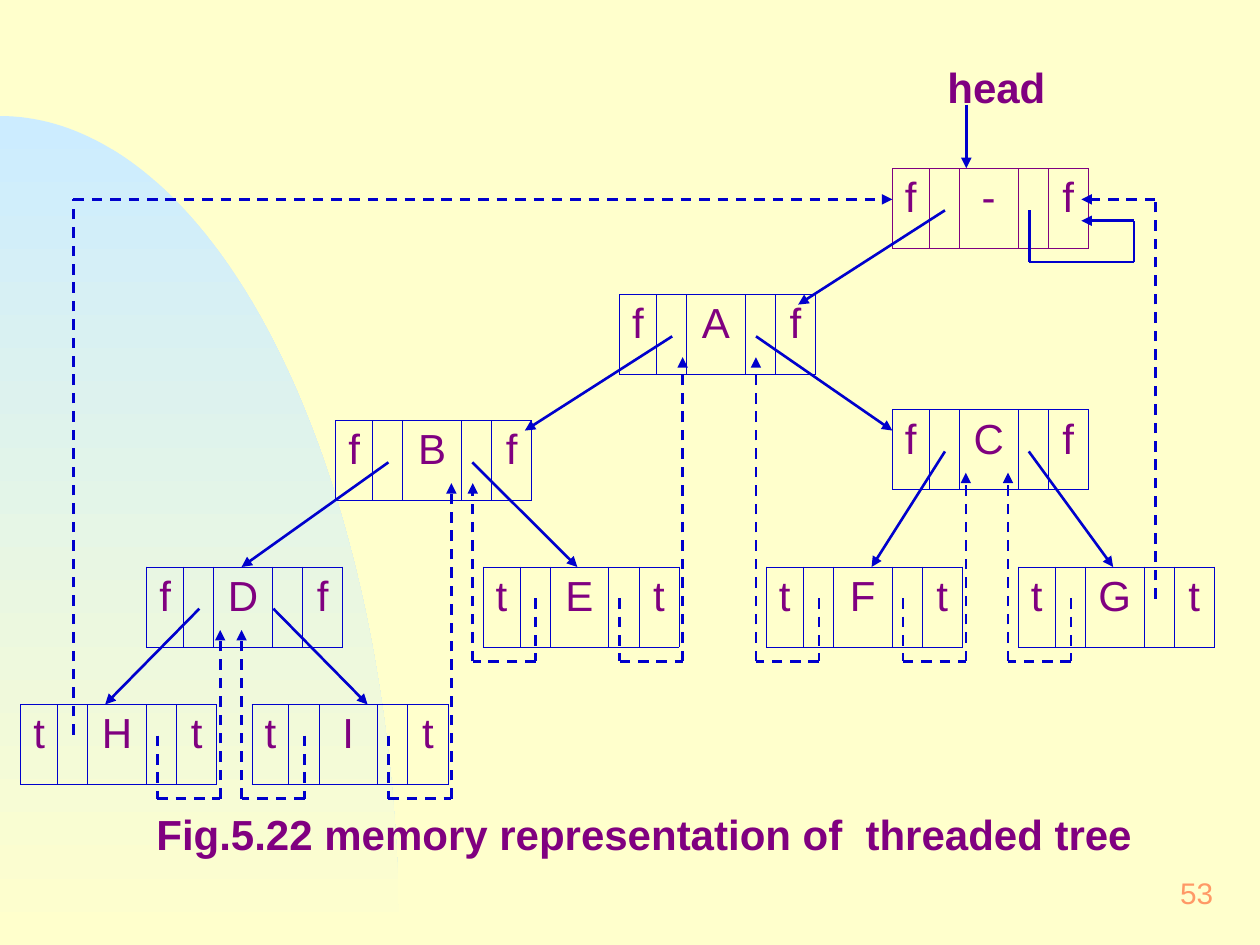
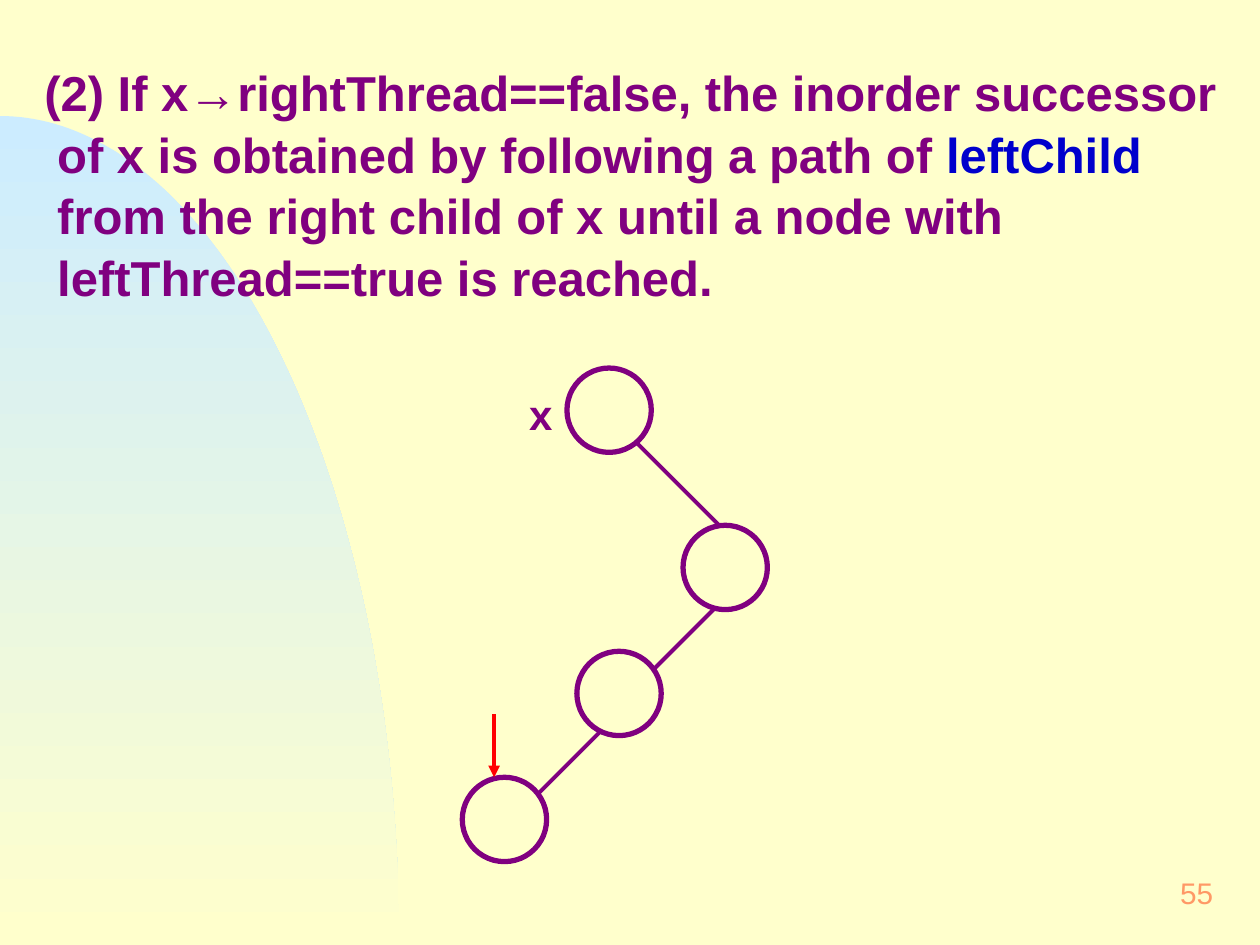
from dataclasses import dataclass
from itertools import pairwise
from math import cos, pi, sin

from lxml import etree
from pptx import Presentation
from pptx import util as u
from pptx.dml.color import RGBColor
from pptx.enum import dml, shapes, text
from pptx.oxml import ns

Point = tuple[float, float]


@dataclass(frozen=True)
class Theme:
    font: str = "Arial"
    paper: RGBColor = RGBColor(0xFF, 0xFF, 0xCC)
    sky: RGBColor = RGBColor(0xCC, 0xEC, 0xFF)
    purple: RGBColor = RGBColor(0x80, 0x00, 0x80)
    blue: RGBColor = RGBColor(0x00, 0x00, 0xCC)
    red: RGBColor = RGBColor(0xFF, 0x00, 0x00)
    orange: RGBColor = RGBColor(0xFF, 0x99, 0x66)
    statement_size: float = 28
    label_size: float = 24
    number_size: float = 17
    border: float = 0.45
    link: float = 1.5
    edge: float = 2.25
    circle: float = 3
    leading: float = 1.05


THEME = Theme()
WIDTH, HEIGHT = 25.4, 19.05


@dataclass(frozen=True)
class Node:
    label: str
    x: float
    y: float
    flag: str
    border: RGBColor = THEME.blue


@dataclass(frozen=True)
class Link:
    parent: str
    side: str
    end: Point
    shift: float = 0


@dataclass(frozen=True)
class Thread:
    node: str
    side: str
    end_y: float


@dataclass(frozen=True)
class Route:
    points: list[Point]
    color: RGBColor = THEME.blue
    width: float = THEME.link
    dashed: bool = False
    arrow: bool = True


FIELD_WIDTHS = [0.74, 0.61, 1.18, 0.61, 0.81]
NODE_HEIGHT = 1.61
PORTS = {"left": 1.06, "right": 2.75}
LINK_DROP, THREAD_DROP, THREAD_STEP = 0.84, 0.63, 1.27
LEVEL_D, LEVEL_H = 11.43, 14.2

NODES = [
    Node("-", 17.99, 3.4, "f", THEME.purple),
    Node("A", 12.49, 5.94, "f"),
    Node("B", 6.77, 8.48, "f"),
    Node("C", 17.99, 8.26, "f"),
    Node("D", 2.96, LEVEL_D, "f"),
    Node("E", 9.74, LEVEL_D, "t"),
    Node("F", 15.45, LEVEL_D, "t"),
    Node("G", 20.53, LEVEL_D, "t"),
    Node("H", 0.42, LEVEL_H, "t"),
    Node("I", 5.08, LEVEL_H, "t"),
]
LINKS = [
    Link("-", "left", (16.09, 6.14)),
    Link("A", "left", (10.58, 8.68)),
    Link("A", "right", (17.99, 8.68)),
    Link("B", "left", (4.87, LEVEL_D)),
    Link("B", "right", (11.64, LEVEL_D)),
    Link("C", "left", (17.57, LEVEL_D)),
    Link("C", "right", (22.44, LEVEL_D)),
    Link("D", "left", (2.12, LEVEL_H)),
    Link("D", "right", (7.41, LEVEL_H), -0.2),
]
THREADS = [
    Thread("H", "right", 12.7),
    Thread("I", "left", 12.7),
    Thread("I", "right", 9.74),
    Thread("E", "left", 9.74),
    Thread("E", "right", 7.2),
    Thread("F", "left", 7.2),
    Thread("F", "right", 9.53),
    Thread("G", "left", 9.53),
]
HEAD_ROUTES = [
    Route([(19.48, 2.11), (19.48, 3.39)]),
    Route([(20.75, 4.24), (20.75, 5.28), (22.86, 5.28), (22.86, 4.45), (21.8, 4.45)]),
    Route([(1.48, 14.81), (1.48, 4.02), (17.99, 4.02)], dashed=True),
    Route([(23.29, 12.07), (23.29, 4.02), (21.8, 4.02)], dashed=True),
]

CIRCLE_SIZE = 1.7
CIRCLES = [(11.43, 7.42), (13.77, 10.59), (11.63, 13.13), (9.32, 15.67)]
EDGES = [
    [(12.8, 8.89), (14.5, 10.59)],
    [(14.43, 12.24), (13.16, 13.51)],
    [(12.09, 14.76), (10.82, 16.03)],
]


def write(paragraph, parts: list[tuple[str, RGBColor]], size: float, bold: bool = False) -> None:
    for words, color in parts:
        run = paragraph.add_run()
        run.text = words
        run.font.name = THEME.font
        run.font.size = u.Pt(size)
        run.font.bold = bold
        run.font.color.rgb = color


def fill_frame(frame, parts: list[tuple[str, RGBColor]], size: float, bold: bool = True) -> None:
    frame.word_wrap = True
    frame.auto_size = text.MSO_AUTO_SIZE.NONE
    frame.vertical_anchor = text.MSO_ANCHOR.TOP
    paragraph = frame.paragraphs[0]
    paragraph.alignment = text.PP_ALIGN.LEFT
    paragraph.line_spacing = THEME.leading
    write(paragraph, parts, size, bold)


def place(shape, left: float, top: float, width: float, height: float) -> None:
    shape.left, shape.top = u.Cm(left), u.Cm(top)
    shape.width, shape.height = u.Cm(width), u.Cm(height)


def add_label(slide, words: str, left: float, top: float, width: float):
    label = slide.shapes.add_textbox(u.Cm(left), u.Cm(top), u.Cm(width), u.Cm(1.27))
    fill_frame(label.text_frame, [(words, THEME.purple)], THEME.label_size)


def add_page_number(slide, number: int) -> None:
    box = slide.shapes.add_textbox(u.Cm(19.48), u.Cm(17.35), u.Cm(5.28), u.Cm(1.27))
    frame = box.text_frame
    fill_frame(frame, [(str(number), THEME.orange)], THEME.number_size, bold=False)
    frame.margin_right = u.Cm(0.3)
    frame.vertical_anchor = text.MSO_ANCHOR.MIDDLE
    frame.paragraphs[0].alignment = text.PP_ALIGN.RIGHT
    frame.paragraphs[0].line_spacing = 1.0


def draw_route(slide, route: Route) -> None:
    segments = list(pairwise(route.points))
    for index, (start, end) in enumerate(segments):
        segment = slide.shapes.add_connector(
            shapes.MSO_CONNECTOR.STRAIGHT, *(u.Cm(value) for value in start + end)
        )
        segment.line.color.rgb = route.color
        segment.line.width = u.Pt(route.width)
        if route.dashed:
            segment.line.dash_style = dml.MSO_LINE.DASH
        properties = segment._element.spPr
        if route.arrow and index == len(segments) - 1:
            outline = properties.find(ns.qn("a:ln"))
            etree.SubElement(outline, ns.qn("a:tailEnd"), type="triangle")
        etree.SubElement(properties, ns.qn("a:effectLst"))


def set_borders(cell, color: RGBColor) -> None:
    properties = cell._tc.get_or_add_tcPr()
    for index, side in enumerate(("lnL", "lnR", "lnT", "lnB")):
        line = etree.Element(ns.qn(f"a:{side}"), w=str(u.Pt(THEME.border)))
        fill = etree.SubElement(line, ns.qn("a:solidFill"))
        etree.SubElement(fill, ns.qn("a:srgbClr"), val=str(color))
        properties.insert(index, line)


def draw_node(slide, node: Node) -> None:
    table = slide.shapes.add_table(
        1, len(FIELD_WIDTHS), u.Cm(node.x), u.Cm(node.y), u.Cm(sum(FIELD_WIDTHS)), u.Cm(NODE_HEIGHT)
    ).table
    table.first_row = table.horz_banding = False
    fields = [node.flag, "", node.label, "", node.flag]
    for column, (width, words) in enumerate(zip(FIELD_WIDTHS, fields)):
        table.columns[column].width = u.Cm(width)
        cell = table.cell(0, column)
        cell.margin_left = cell.margin_right = 0
        cell.fill.background()
        set_borders(cell, node.border)
        if words:
            paragraph = cell.text_frame.paragraphs[0]
            paragraph.alignment = text.PP_ALIGN.CENTER
            write(paragraph, [(words, THEME.purple)], THEME.label_size)


def link_route(link: Link, nodes: dict[str, Node]) -> Route:
    parent = nodes[link.parent]
    start = (parent.x + PORTS[link.side] + link.shift, parent.y + LINK_DROP)
    return Route([start, link.end])


def thread_route(thread: Thread, nodes: dict[str, Node]) -> Route:
    node = nodes[thread.node]
    x, y = node.x + PORTS[thread.side], node.y + THREAD_DROP
    far_x = x + (THREAD_STEP if thread.side == "right" else -THREAD_STEP)
    low_y = y + THREAD_STEP
    return Route([(x, y), (x, low_y), (far_x, low_y), (far_x, thread.end_y)], dashed=True)


def dress_master(master, slide) -> None:
    master.background.fill.solid()
    master.background.fill.fore_color.rgb = THEME.paper
    radius_x, radius_y, steps = 8.05, 16.71, 90
    angles = [pi / 2 * step / steps for step in range(steps + 1)]
    arc = [(u.Cm(radius_x * sin(a)), u.Cm(HEIGHT - radius_y * cos(a))) for a in angles]
    builder = slide.shapes.build_freeform(*arc[0])
    builder.add_line_segments(arc[1:] + [(0, u.Cm(HEIGHT))], close=True)
    hill = builder.convert_to_shape()
    hill.shadow.inherit = False
    hill.line.fill.background()
    hill.fill.gradient()
    hill.fill.gradient_angle = 270
    for stop, color in zip(hill.fill.gradient_stops, (THEME.sky, THEME.paper)):
        stop.color.rgb = color
    master.shapes.element.insert(2, hill._element)


def build_threaded_tree(slide) -> None:
    caption = slide.shapes.title
    place(caption, 2.9, 16.13, 20.8, 1.27)
    fill_frame(
        caption.text_frame,
        [("Fig.5.22 memory representation of  threaded tree", THEME.purple)],
        THEME.label_size,
    )
    nodes = {node.label: node for node in NODES}
    for node in NODES:
        draw_node(slide, node)
    routes = [link_route(link, nodes) for link in LINKS]
    routes += [thread_route(thread, nodes) for thread in THREADS]
    for route in routes + HEAD_ROUTES:
        draw_route(slide, route)
    add_label(slide, "head", 18.85, 1.07, 2.54)
    add_page_number(slide, 53)


def build_successor(slide) -> None:
    statement = slide.shapes.title
    place(statement, 0.64, 1.07, 24.33, 5)
    paragraph = statement.text_frame.paragraphs[0]
    indents = paragraph._p.get_or_add_pPr()
    indents.set("marL", str(u.Cm(0.26)))
    indents.set("indent", str(-u.Cm(0.26)))
    parts = [
        (
            "(2) If x→rightThread==false, the inorder successor of x is obtained "
            "by following a path of ",
            THEME.purple,
        ),
        ("leftChild", THEME.blue),
        (" from the right child of x until a node with leftThread==true is reached.", THEME.purple),
    ]
    fill_frame(statement.text_frame, parts, THEME.statement_size)
    for x, y in CIRCLES:
        circle = slide.shapes.add_shape(
            shapes.MSO_SHAPE.OVAL, u.Cm(x), u.Cm(y), u.Cm(CIRCLE_SIZE), u.Cm(CIRCLE_SIZE)
        )
        circle.shadow.inherit = False
        circle.fill.background()
        circle.line.color.rgb = THEME.purple
        circle.line.width = u.Pt(THEME.circle)
    for edge in EDGES:
        draw_route(slide, Route(edge, THEME.purple, THEME.edge, arrow=False))
    draw_route(slide, Route([(9.96, 14.4), (9.96, 15.67)], THEME.red, THEME.edge))
    add_label(slide, "x", 10.42, 7.65, 1.27)
    add_page_number(slide, 55)


def main() -> None:
    deck = Presentation()
    deck.slide_width, deck.slide_height = u.Cm(WIDTH), u.Cm(HEIGHT)
    title_only = deck.slide_layouts[5]
    tree, successor = (deck.slides.add_slide(title_only) for _ in range(2))
    dress_master(deck.slide_master, tree)
    build_threaded_tree(tree)
    build_successor(successor)
    deck.save("out.pptx")


if __name__ == "__main__":
    main()
